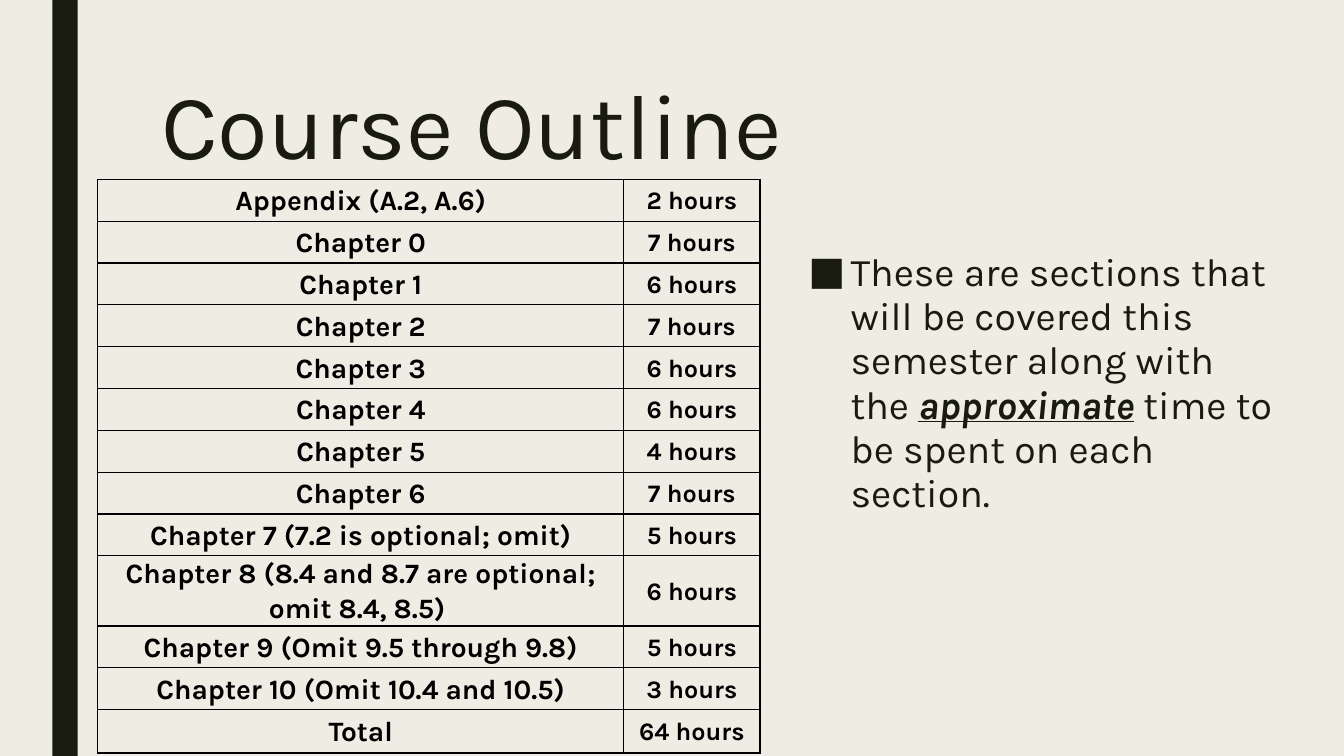
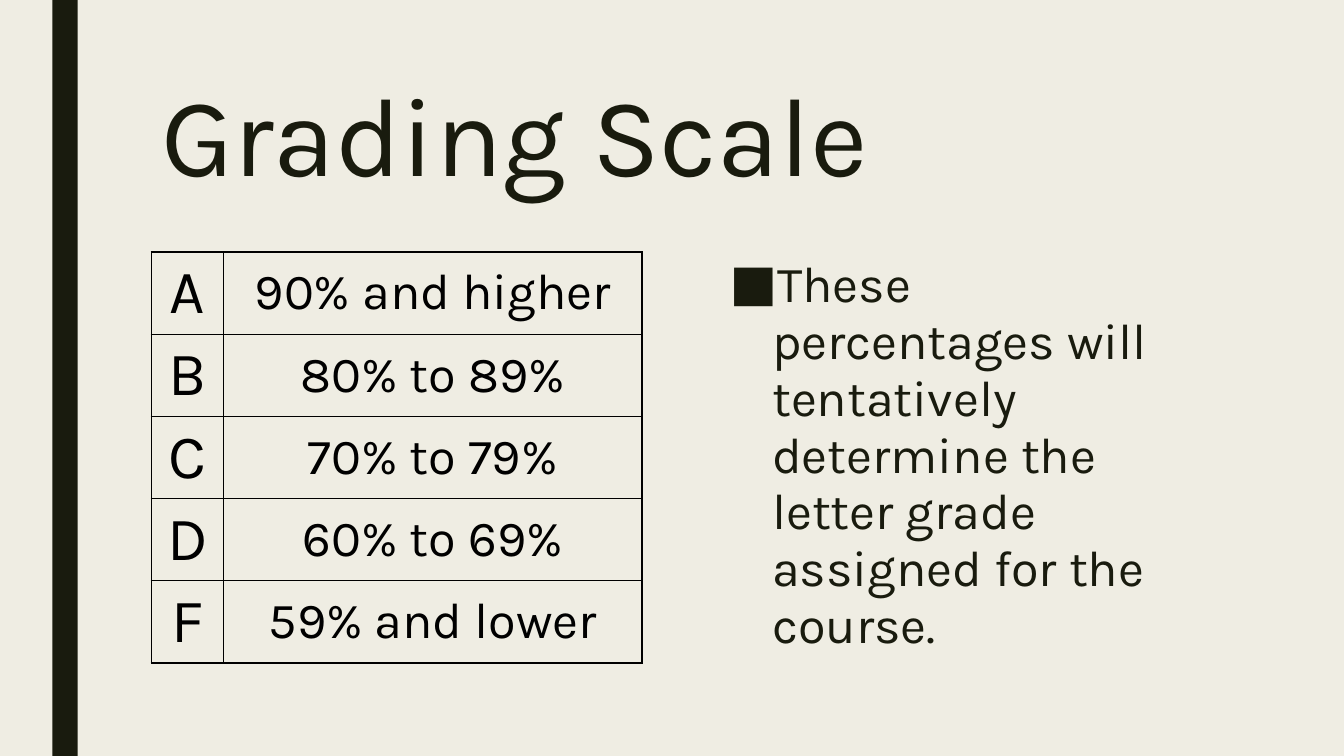
from dataclasses import dataclass
from typing import NamedTuple

from lxml import etree
from pptx import Presentation
from pptx import util as u
from pptx.dml.color import RGBColor
from pptx.enum import shapes, text
from pptx.oxml.ns import qn

SCALE = 4572  # EMU in one px, 200 px to the inch


def px(n: int) -> u.Emu:
    return u.Emu(n * SCALE)


# Theme
@dataclass(frozen=True)
class Theme:
    font: str = "Karla"
    paper: str = "EFEDE3"
    ink: str = "191B0E"
    grid: str = "000000"
    body: int = 28
    large: int = 36
    title: int = 66
    giant: int = 80


THEME = Theme()


class Box(NamedTuple):
    left: int
    top: int
    width: int
    height: int


class Run(NamedTuple):
    words: str
    strong: bool = False


@dataclass(frozen=True)
class Grid:
    left: int
    top: int
    cols: tuple[int, ...]
    highs: list[int]
    rows: list[tuple[str, str]]
    sizes: tuple[int, int]
    bold: bool
    inset: int
    lead: float


@dataclass(frozen=True)
class Page:
    title: str
    size: int
    box: Box
    runs: list[Run]
    points: int
    grid: Grid


SLIDE = Box(0, 0, 2667, 1500)
BAND = Box(104, 0, 50, 1500)
TITLE = Box(300, 150, 2100, 324)
INDENT = 84

# Content
HOURS = [
    ("Appendix (A.2, A.6)", "2 hours"),
    ("Chapter 0", "7 hours"),
    ("Chapter 1", "6 hours"),
    ("Chapter 2", "7 hours"),
    ("Chapter 3", "6 hours"),
    ("Chapter 4", "6 hours"),
    ("Chapter 5", "4 hours"),
    ("Chapter 6", "7 hours"),
    ("Chapter 7 (7.2 is optional; omit)", "5 hours"),
    ("Chapter 8 (8.4 and 8.7 are optional; omit 8.4, 8.5) ", "6 hours"),
    ("Chapter 9 (Omit 9.5 through 9.8)", "5 hours"),
    ("Chapter 10 (Omit 10.4 and 10.5)", "3 hours"),
    ("Total", "64 hours"),
]
GRADES = [
    ("A", "90% and higher"),
    ("B", "80% to 89%"),
    ("C", "70% to 79%"),
    ("D", "60% to 69%"),
    ("F", "59% and lower"),
]
PAGES = [
    Page(
        "Course Outline", THEME.title, Box(1584, 488, 972, 784),
        [
            Run("These are sections that will be covered this semester along with the "),
            Run("approximate", True),
            Run(" time to be spent on each section."),
        ],
        THEME.body,
        Grid(194, 356, (1044, 270), [83] * 9 + [139, 83, 83, 86],
             HOURS, (20, 18), True, 0, 1.07),
    ),
    Page(
        "Grading Scale", THEME.giant, Box(1428, 500, 972, 784),
        [Run("These percentages will tentatively determine the letter grade "
             "assigned for the course.")],
        THEME.large,
        Grid(300, 500, (144, 830), [163] * 5, GRADES, (44, 36), False, 10, 1.0),
    ),
]


# Text
def add_run(para, run: Run, size: int, color: str, bold: bool = False) -> None:
    part = para.add_run()
    part.text = run.words
    font = part.font
    font.name, font.size = THEME.font, u.Pt(size)
    font.color.rgb = RGBColor.from_string(color)
    font.bold = bold or run.strong
    font.italic = font.underline = run.strong


def place(shape, box: Box):
    shape.left, shape.top, shape.width, shape.height = map(px, box)
    frame = shape.text_frame
    frame.word_wrap = True
    frame.auto_size = text.MSO_AUTO_SIZE.NONE
    frame.vertical_anchor = text.MSO_ANCHOR.TOP
    para = frame.paragraphs[0]
    para.alignment = text.PP_ALIGN.LEFT
    para.space_before = u.Pt(0)
    return para


def add_mark(para) -> None:
    props = para._p.get_or_add_pPr()
    props.set("marL", str(px(INDENT)))
    props.set("indent", str(-px(INDENT)))
    etree.SubElement(props, qn("a:buFont")).set("typeface", THEME.font)
    etree.SubElement(props, qn("a:buChar")).set("char", "■")


# Table
def add_edges(cell) -> None:
    props = cell._tc.get_or_add_tcPr()
    for side in "LRTB":
        line = etree.SubElement(props, qn(f"a:ln{side}"), w=str(u.Pt(1)))
        fill = etree.SubElement(line, qn("a:solidFill"))
        etree.SubElement(fill, qn("a:srgbClr"), val=THEME.grid)


def add_grid(slide, grid: Grid) -> None:
    table = slide.shapes.add_table(
        len(grid.rows), len(grid.cols), px(grid.left), px(grid.top),
        px(sum(grid.cols)), px(sum(grid.highs))).table
    table.first_row = table.horz_banding = False
    for col, wide in zip(table.columns, grid.cols):
        col.width = px(wide)
    for row, high, words in zip(table.rows, grid.highs, grid.rows):
        row.height = px(high)
        for cell, word, size in zip(row.cells, words, grid.sizes):
            add_edges(cell)
            cell.fill.background()
            cell.vertical_anchor = text.MSO_ANCHOR.MIDDLE
            cell.margin_left = cell.margin_right = px(22)
            cell.margin_top = cell.margin_bottom = px(grid.inset)
            para = cell.text_frame.paragraphs[0]
            para.alignment = text.PP_ALIGN.CENTER
            para.line_spacing = grid.lead
            add_run(para, Run(word), size, THEME.grid, grid.bold)


# Slides
def add_band(slide) -> None:
    band = slide.shapes.add_shape(shapes.MSO_SHAPE.RECTANGLE, *map(px, BAND))
    band.shadow.inherit = False
    band.fill.solid()
    band.fill.fore_color.rgb = RGBColor.from_string(THEME.ink)
    band.line.fill.background()


def add_page(deck, page: Page) -> None:
    slide = deck.slides.add_slide(deck.slide_layouts[1])
    add_band(slide)
    head = place(slide.shapes.title, TITLE)
    head.line_spacing = 0.89
    add_run(head, Run(page.title), page.size, THEME.ink)
    para = place(slide.placeholders[1], page.box)
    add_mark(para)
    para.line_spacing = 0.94
    para.space_after = u.Pt(2)
    for run in page.runs:
        add_run(para, run, page.points, THEME.ink)
    add_grid(slide, page.grid)


def main() -> None:
    deck = Presentation()
    deck.slide_width, deck.slide_height = px(SLIDE.width), px(SLIDE.height)
    back = deck.slide_master.background.fill
    back.solid()
    back.fore_color.rgb = RGBColor.from_string(THEME.paper)
    for page in PAGES:
        add_page(deck, page)
    deck.save("out.pptx")


if __name__ == "__main__":
    main()
